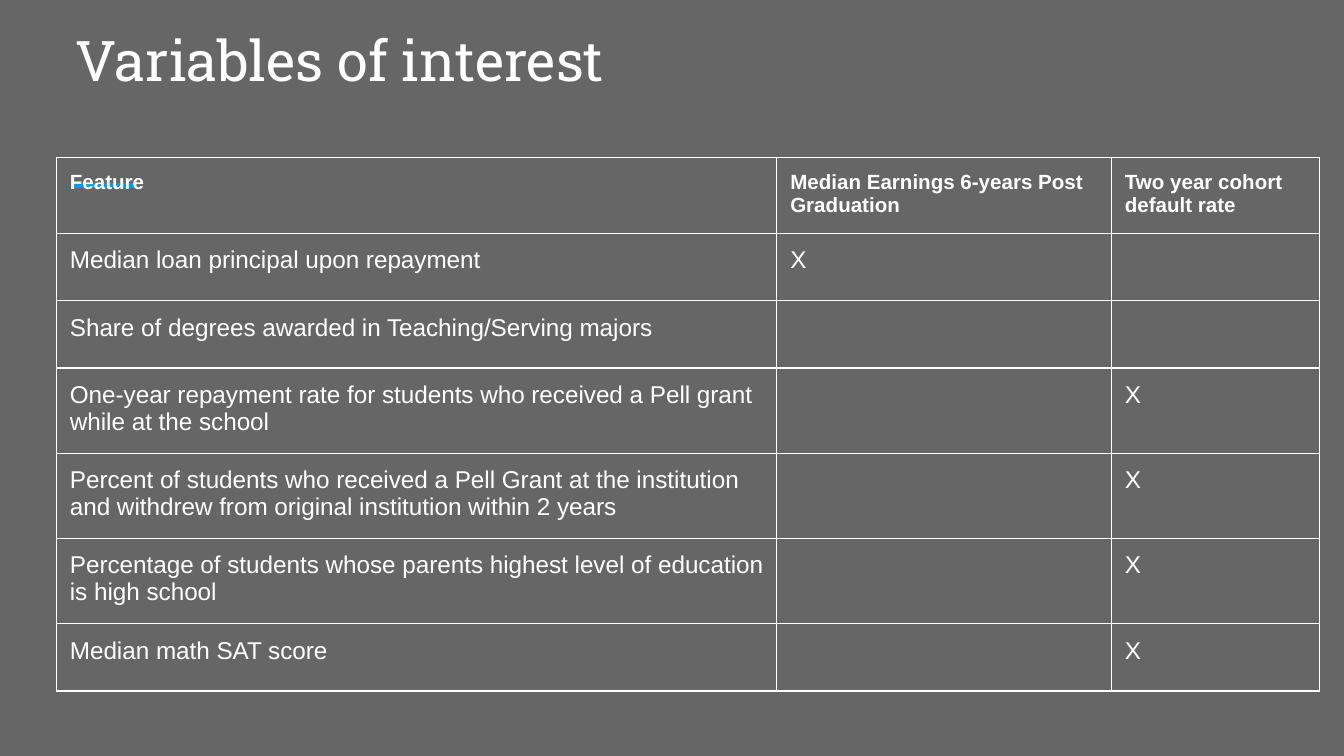
from dataclasses import dataclass

from lxml.etree import SubElement
from pptx import Presentation
from pptx.dml.color import RGBColor
from pptx.enum.shapes import MSO_CONNECTOR
from pptx.enum.text import MSO_ANCHOR
from pptx.oxml.ns import qn
from pptx.util import Inches, Pt


@dataclass(frozen=True)
class Theme:
    background: RGBColor = RGBColor(0x66, 0x66, 0x66)
    text: RGBColor = RGBColor(0xFF, 0xFF, 0xFF)
    accent: RGBColor = RGBColor(0x03, 0x9B, 0xE5)
    border: str = "FFFFFF"
    title_font: str = "Roboto Slab"
    body_font: str = "Arial"
    title_size: int = 30
    header_size: int = 11
    body_size: int = 13
    accent_width: float = 3
    border_width: float = 0.75
    inset: float = 0.1


THEME = Theme()
WIDTH = 10
HEIGHT = WIDTH * 9 / 16

# Table grid in inches; rows grow to fit their text
COLUMNS = [5.36, 2.49, 1.55]
ROWS = [0.48, 0.33, 0.35, 0.36, 0.4, 0.4, 0.42]
FRAME_SIDE = 3.28

CELLS = [
    ("Feature", "Median Earnings 6-years Post Graduation",
     "Two year cohort default rate"),
    ("Median loan principal upon repayment", "X", ""),
    ("Share of degrees awarded in Teaching/Serving majors", "", ""),
    ("One-year repayment rate for students who received a Pell grant "
     "while at the school", "", "X"),
    ("Percent of students who received a Pell Grant at the institution "
     "and withdrew from original institution within 2 years", "", "X"),
    ("Percentage of students whose parents highest level of education "
     "is high school", "", "X"),
    ("Median math SAT score", "", "X"),
]


def set_text(tf, text, font, size, bold=False):
    tf.text = text
    for p in tf.paragraphs:
        for r in p.runs:
            r.font.name = font
            r.font.size = Pt(size)
            r.font.bold = bold
            r.font.color.rgb = THEME.text


def set_insets(box):
    box.margin_left = box.margin_right = Inches(THEME.inset)
    box.margin_top = box.margin_bottom = Inches(THEME.inset)


def add_accent_line(s, x1, x2, y):
    line = s.shapes.add_connector(MSO_CONNECTOR.STRAIGHT, Inches(x1), Inches(y),
                                  Inches(x2), Inches(y))
    line.line.color.rgb = THEME.accent
    line.line.width = Pt(THEME.accent_width)
    SubElement(line._element.spPr, qn("a:effectLst"))


def add_title(s, text, x, y, w, h):
    sp = s.shapes.add_textbox(Inches(x), Inches(y), Inches(w), Inches(h))
    tf = sp.text_frame
    tf.word_wrap = True
    tf.vertical_anchor = MSO_ANCHOR.BOTTOM
    set_insets(tf)
    set_text(tf, text, THEME.title_font, THEME.title_size)


def add_borders(cell):
    tcPr = cell._tc.get_or_add_tcPr()
    for i, side in enumerate(("lnL", "lnR", "lnT", "lnB")):
        ln = tcPr.makeelement(qn(f"a:{side}"), {"w": str(Pt(THEME.border_width))})
        fill = SubElement(ln, qn("a:solidFill"))
        SubElement(fill, qn("a:srgbClr"), val=THEME.border)
        tcPr.insert(i, ln)


def add_feature_table(s, x, y):
    side = Inches(FRAME_SIDE)
    frame = s.shapes.add_table(len(ROWS), len(COLUMNS), Inches(x), Inches(y),
                               side, side)
    table = frame.table
    table.first_row = table.horz_banding = False
    for column, width in zip(table.columns, COLUMNS):
        column.width = Inches(width)
    for i, (values, height) in enumerate(zip(CELLS, ROWS)):
        table.rows[i].height = Inches(height)
        header = i == 0
        size = THEME.header_size if header else THEME.body_size
        for j, value in enumerate(values):
            cell = table.cell(i, j)
            cell.fill.background()
            set_insets(cell)
            add_borders(cell)
            if value:
                set_text(cell.text_frame, value, THEME.body_font, size, header)
    # Column and row sizes reset the frame, so it is fixed last
    frame.width = frame.height = side


def main():
    prs = Presentation()
    prs.slide_width, prs.slide_height = Inches(WIDTH), Inches(HEIGHT)
    s = prs.slides.add_slide(prs.slide_layouts[6])
    s.background.fill.solid()
    s.background.fill.fore_color.rgb = THEME.background

    # Accent rule behind the table, then title and table
    add_accent_line(s, 0.54, 1, 1.38)
    add_title(s, "Variables of interest", 0.46, 0.04, 0.915 * WIDTH, 0.75)
    add_feature_table(s, 0.42, 1.17)

    prs.save("out.pptx")


if __name__ == "__main__":
    main()
